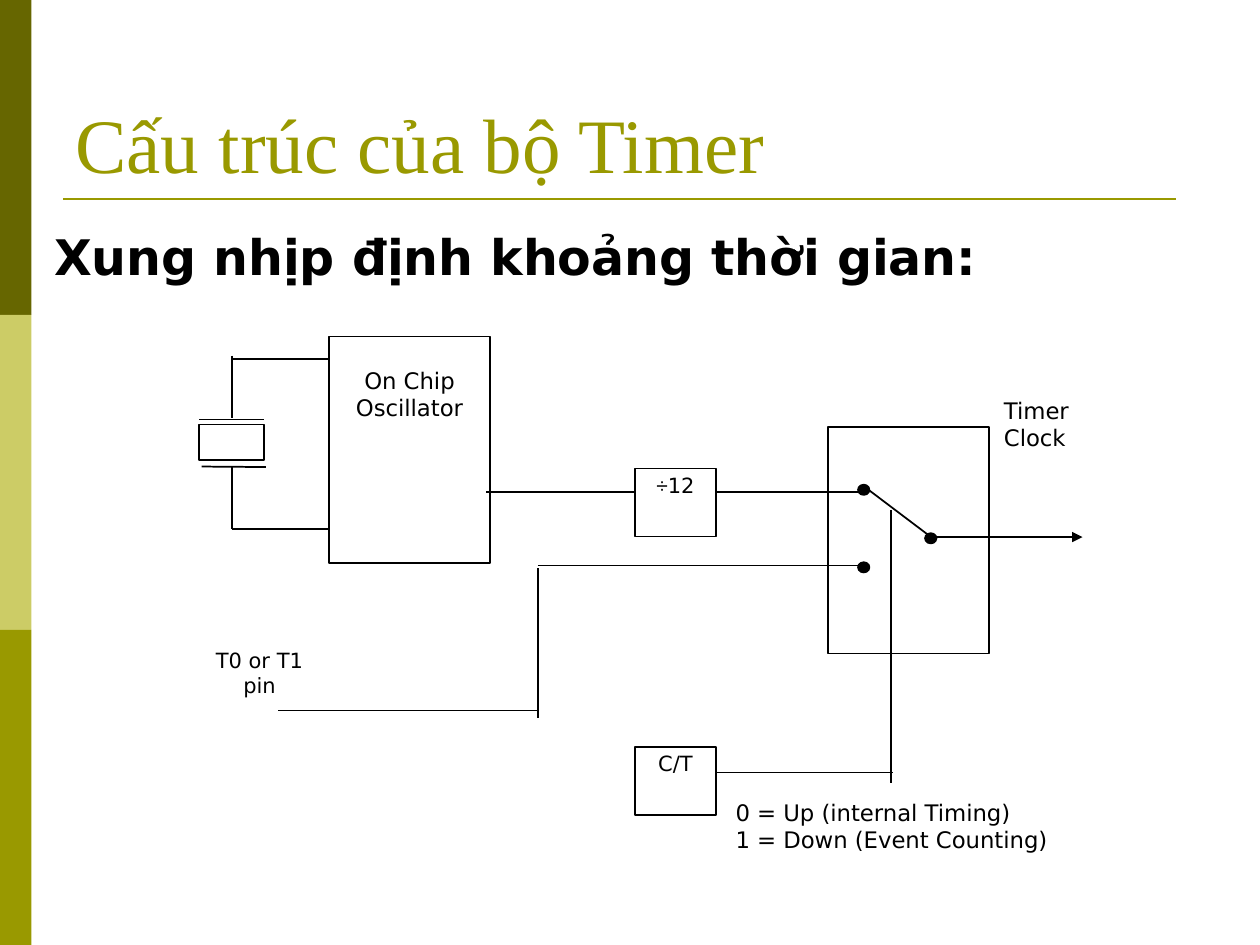
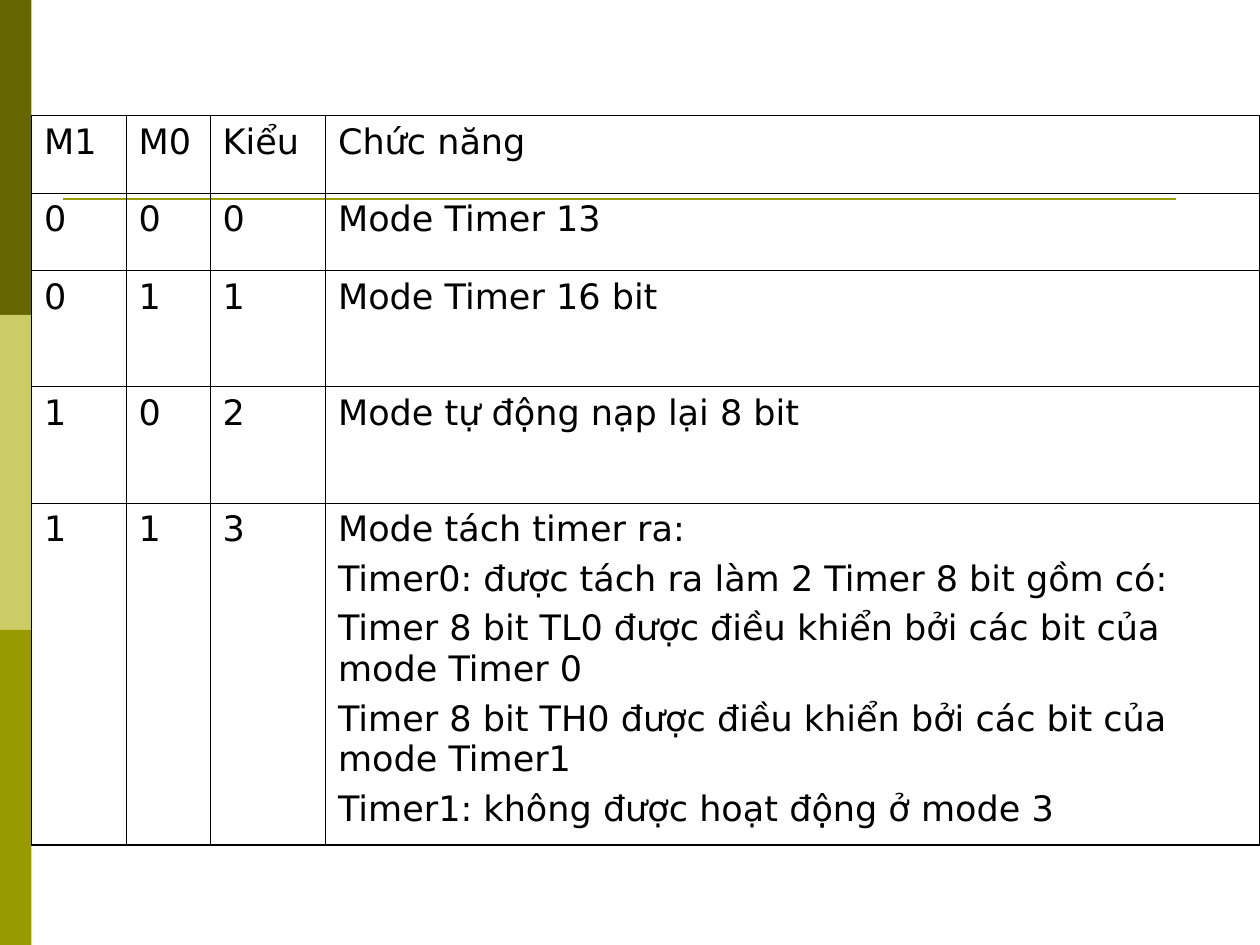
from lxml import etree
from pptx import Presentation
from pptx.dml.color import RGBColor
from pptx.enum.shapes import MSO_CONNECTOR, MSO_SHAPE
from pptx.enum.text import MSO_ANCHOR, MSO_AUTO_SIZE, PP_ALIGN
from pptx.oxml.ns import qn
from pptx.util import Pt

STRAIGHT = MSO_CONNECTOR.STRAIGHT
RECTANGLE, OVAL = MSO_SHAPE.RECTANGLE, MSO_SHAPE.OVAL
TOP, BOTTOM = MSO_ANCHOR.TOP, MSO_ANCHOR.BOTTOM
LEFT, CENTER = PP_ALIGN.LEFT, PP_ALIGN.CENTER
NO_AUTOFIT = MSO_AUTO_SIZE.NONE

TITLE_ONLY, BLANK = 5, 6
BLACK, OLIVE = "000000", "999900"
BANDS = ["666600", "CCCC66", OLIVE]
BODY_FONT, TITLE_FONT, SYMBOL_FONT = "DejaVu Sans", "Times New Roman", "Arial"


def color(value):
    return RGBColor.from_string(value)


class Slides:
    def __init__(self):
        self.deck = Presentation()
        self.deck.slide_width, self.deck.slide_height = Pt(720), Pt(540)
        self.page = None

    def start(self, layout):
        self.page = self.deck.slides.add_slide(self.deck.slide_layouts[layout])
        for index, band in enumerate(BANDS):
            self.shape(RECTANGLE, 0, 180 * index, 18, 180, fill=band, width=None)
        self.line(36, 113.8, 672, 113.8, OLIVE, 1.5)

    def title(self, text):
        box = self.page.shapes.title
        box.left, box.top, box.width, box.height = Pt(36), Pt(21.6), Pt(648), Pt(90)
        frame = box.text_frame
        frame.auto_size = NO_AUTOFIT
        frame.vertical_anchor = BOTTOM
        self.paragraphs(frame, [text], 44, LEFT, TITLE_FONT, OLIVE)

    def shape(self, kind, left, top, width_, height, fill=None, width=1):
        box = self.page.shapes.add_shape(kind, Pt(left), Pt(top), Pt(width_), Pt(height))
        box.shadow.inherit = False
        if fill:
            box.fill.solid()
            box.fill.fore_color.rgb = color(fill)
        else:
            box.fill.background()
        if width:
            box.line.color.rgb = color(BLACK)
            box.line.width = Pt(width)
        else:
            box.line.fill.background()
        return box

    def block(self, left, top, width_, height, lines, size=12, width=1, inset_top=2):
        box = self.shape(RECTANGLE, left, top, width_, height, width=width)
        self.fill_frame(box.text_frame, lines, size, CENTER, 2, inset_top)

    def text(self, left, top, width, height, lines, size=13, align=LEFT, inset=2,
             bold=False, before=0):
        box = self.page.shapes.add_textbox(Pt(left), Pt(top), Pt(width), Pt(height))
        inset_top = 3.6 if inset > 2 else inset
        self.fill_frame(box.text_frame, lines, size, align, inset, inset_top, bold, before)

    def fill_frame(self, frame, lines, size, align, inset, inset_top, bold=False, before=0):
        frame.word_wrap = True
        frame.vertical_anchor = TOP
        frame.margin_left = frame.margin_right = Pt(inset)
        frame.margin_top, frame.margin_bottom = Pt(inset_top), Pt(2)
        self.paragraphs(frame, lines, size, align, bold=bold, before=before)

    def paragraphs(self, frame, lines, size, align, font=BODY_FONT, ink=BLACK,
                   bold=False, before=0):
        for index, line in enumerate(lines):
            para = frame.paragraphs[0] if index == 0 else frame.add_paragraph()
            para.alignment = align
            para.space_before = Pt(before)
            spans = [(line, font)] if isinstance(line, str) else line
            for words, face in spans:
                span = para.add_run()
                span.text = words
                span.font.name = face
                span.font.size = Pt(size)
                span.font.bold = bold
                span.font.color.rgb = color(ink)

    def line(self, x1, y1, x2, y2, ink=BLACK, width=1, arrow=False):
        wire = self.page.shapes.add_connector(STRAIGHT, Pt(x1), Pt(y1), Pt(x2), Pt(y2))
        wire.line.color.rgb = color(ink)
        wire.line.width = Pt(width)
        properties = wire._element.spPr
        if arrow:
            etree.SubElement(properties.find(qn("a:ln")), qn("a:tailEnd"), type="triangle")
        etree.SubElement(properties, qn("a:effectLst"))

    def table(self, left, top, widths, heights, rows):
        grid = self.page.shapes.add_table(
            len(heights), len(widths), Pt(left), Pt(top), Pt(sum(widths)), Pt(sum(heights))
        ).table
        grid.first_row = grid.horz_banding = False
        for column, width in zip(grid.columns, widths):
            column.width = Pt(width)
        for row, height in zip(grid.rows, heights):
            row.height = Pt(height)
        last_row, last_column = len(heights) - 1, len(widths) - 1
        for r, row in enumerate(rows):
            for c, content in enumerate(row):
                cell = grid.cell(r, c)
                lines = [content] if isinstance(content, str) else content
                self.paragraphs(cell.text_frame, lines, 20, LEFT, before=5)
                outer = {"L": c == 0, "R": c == last_column, "T": r == 0, "B": r == last_row}
                self.borders(cell, outer)
                cell.fill.background()

    def borders(self, cell, outer):
        properties = cell._tc.get_or_add_tcPr()
        for side, is_outer in outer.items():
            width = Pt(1.08 if is_outer else 0.45)
            edge = etree.SubElement(properties, qn("a:ln" + side), w=str(width))
            solid = etree.SubElement(edge, qn("a:solidFill"))
            etree.SubElement(solid, qn("a:srgbClr"), val=BLACK)


def draw_clock_source(slides):
    slides.start(TITLE_ONLY)
    slides.title("Cấu trúc của bộ Timer")
    slides.text(23.8, 126, 648, 356.4, ["Xung nhịp định khoảng thời gian:"], 28,
                inset=7.2, bold=True, before=7)

    slides.block(188, 192.2, 92, 129.6, ["On Chip", "Oscillator"], 13, 0.75, inset_top=17.2)
    slides.shape(RECTANGLE, 113.8, 242.6, 37, 20.3)
    slides.block(363, 267.8, 46, 38.9, [[("÷", SYMBOL_FONT), ("12", BODY_FONT)]])
    slides.shape(RECTANGLE, 473.2, 244, 92, 129.6, width=0.75)
    slides.block(363, 426.7, 46, 38.9, ["C/T"])

    crystal_wires = [
        (132.5, 205, 188, 205),
        (132.5, 302.4, 188, 302.4),
        (132.5, 203.3, 132.5, 239),
        (132.5, 266.6, 132.5, 302.4),
        (113.8, 239.8, 151, 239.8),
        (115.2, 266.6, 152, 266.9),
    ]
    clock_wires = [(278, 281.3, 363, 281.3), (409, 281.3, 492, 281.3)]
    pin_wires = [
        (159, 406, 306.7, 406),
        (307.4, 324.7, 307.4, 410.4),
        (307.4, 323.2, 492, 323.2),
    ]
    switch_wires = [
        (494.6, 278.6, 533.5, 308),
        (509, 291.6, 509, 447.6),
        (409, 441.5, 510.3, 441.5),
    ]
    for wire in crystal_wires + clock_wires + pin_wires + switch_wires:
        slides.line(*wire)
    slides.line(535, 306.9, 618.6, 306.9, width=0.75, arrow=True)

    for left, top in [(490.3, 277), (528.6, 304.7), (490.3, 321.3)]:
        slides.shape(OVAL, left, top, 6.5, 5.8, fill=BLACK)

    slides.text(115.9, 368, 64.8, 77.8, ["T0 or T1", "pin"], 12, CENTER)
    slides.text(571.7, 224.6, 58.3, 77.8, ["Timer", "Clock"])
    slides.text(418.3, 454.5, 211.7, 64.8,
                ["0 = Up (internal Timing)", "1 = Down (Event Counting)"])


def draw_timer_modes(slides):
    slides.start(BLANK)
    split_mode = [
        "Mode tách timer ra:",
        "Timer0: được tách ra làm 2 Timer 8 bit gồm có:",
        "Timer 8 bit TL0 được điều khiển bởi các bit của mode Timer 0",
        "Timer 8 bit TH0 được điều khiển bởi các bit của mode Timer1",
        "Timer1: không được hoạt động ở mode 3",
    ]
    modes = [
        ("M1", "M0", "Kiểu", "Chức năng"),
        ("0", "0", "0", "Mode Timer 13"),
        ("0", "1", "1", "Mode Timer 16 bit"),
        ("1", "0", "2", "Mode tự động nạp lại 8 bit"),
        ("1", "1", "3", split_mode),
    ]
    slides.table(18, 66, [54, 48, 66, 534], [44.3, 44.3, 66.5, 66.5, 195.2], modes)


def main():
    slides = Slides()
    draw_clock_source(slides)
    draw_timer_modes(slides)
    slides.deck.save("out.pptx")


if __name__ == "__main__":
    main()
